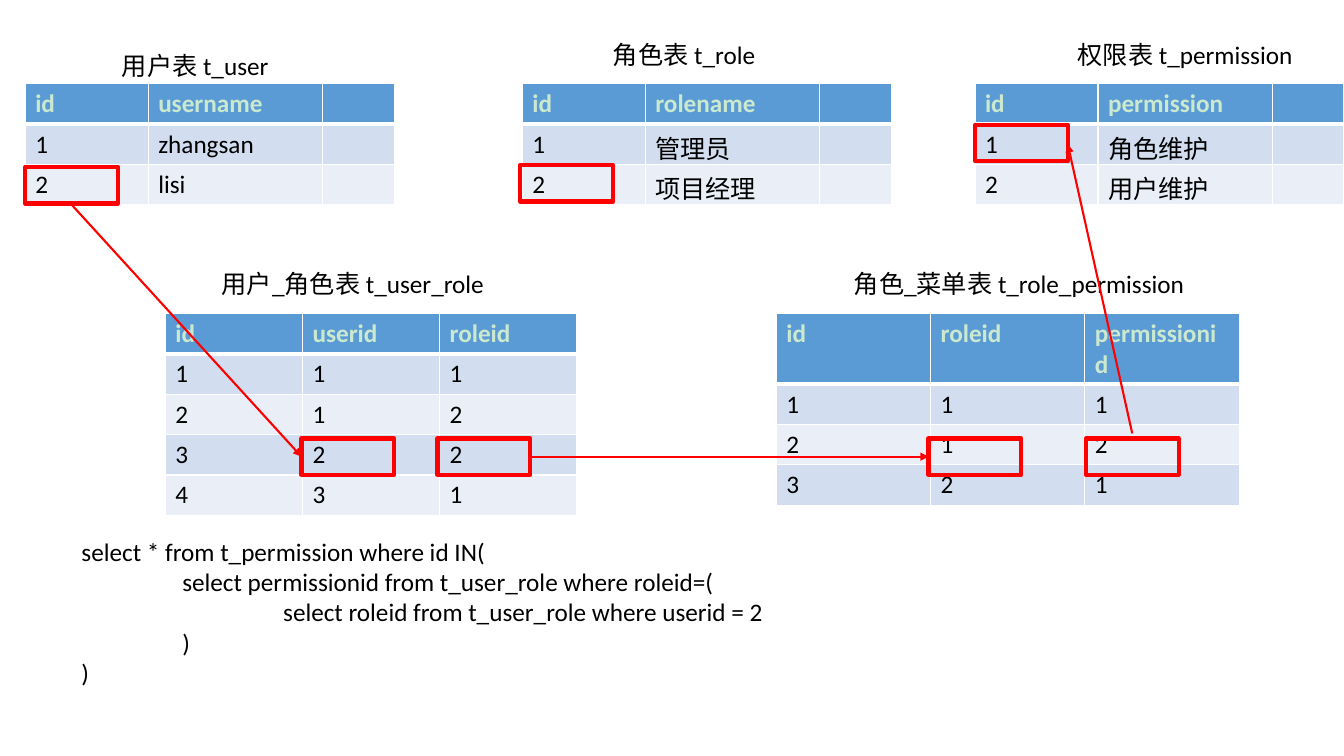
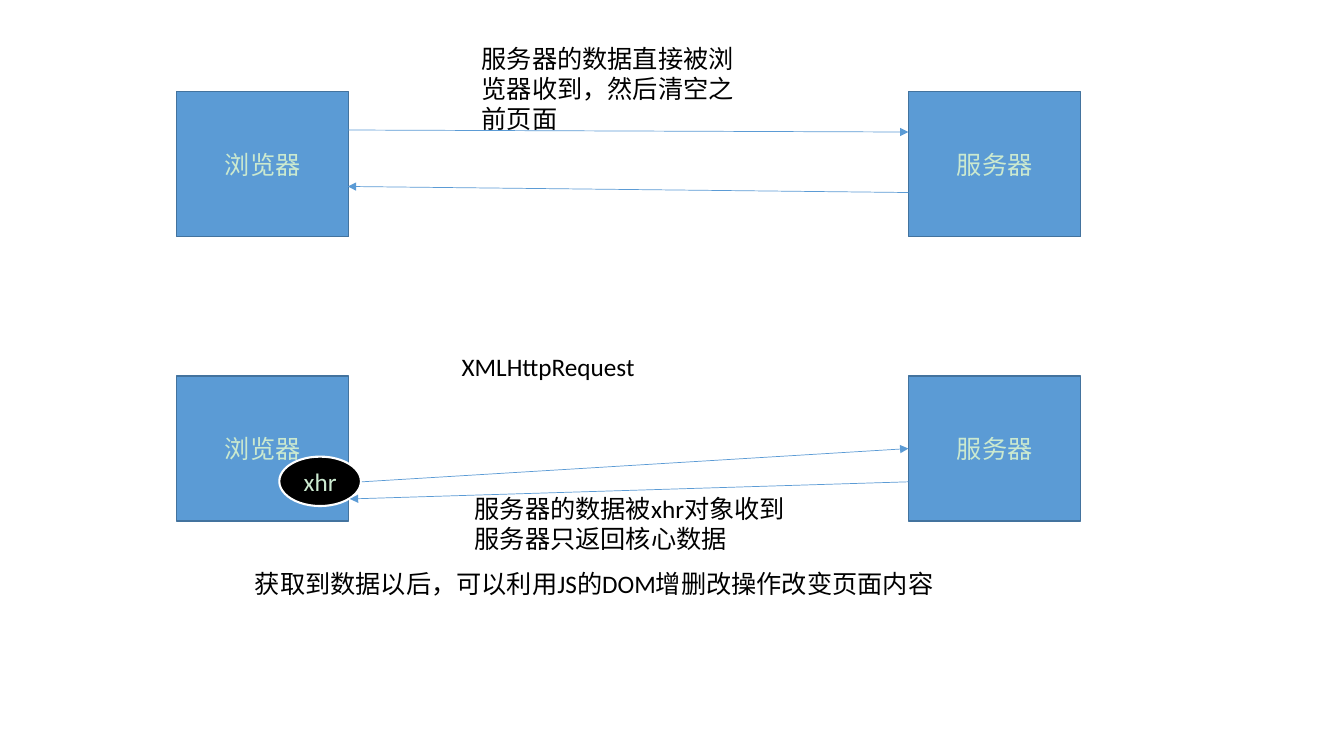
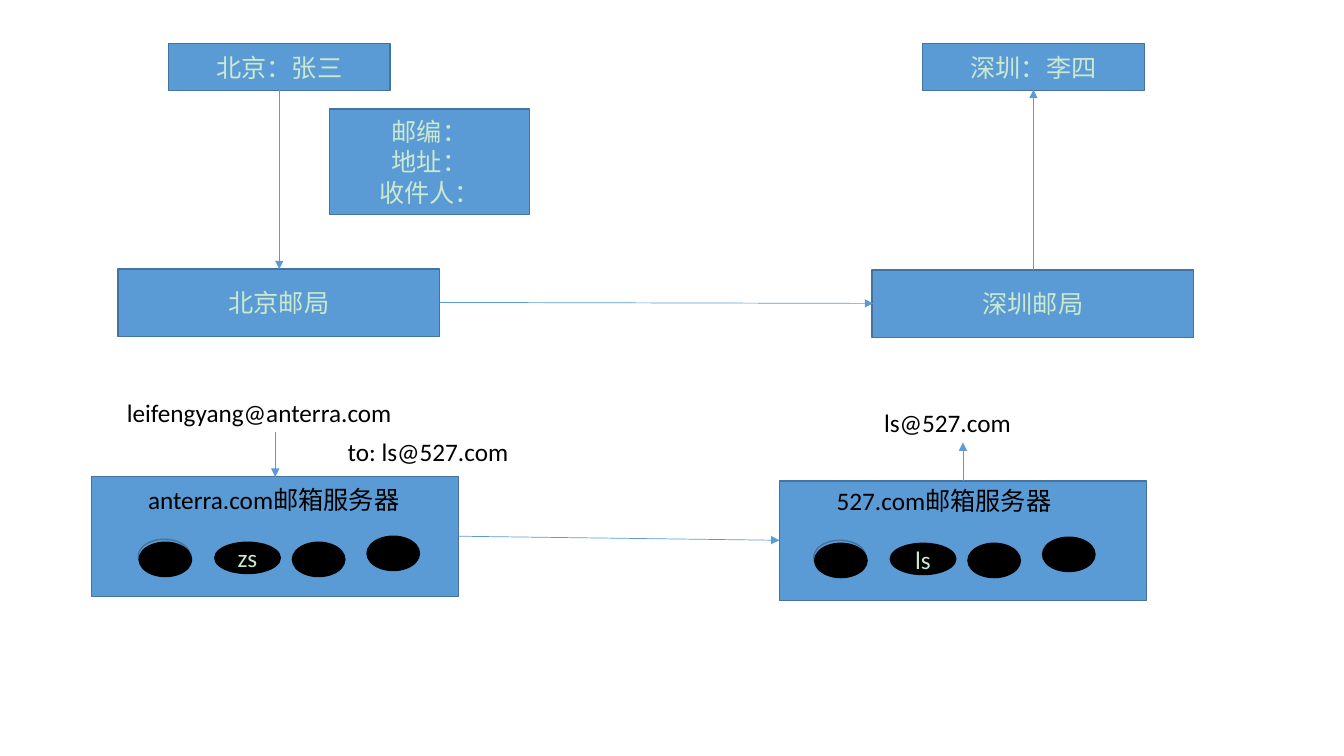
from lxml import etree
from pptx import Presentation
from pptx.dml.color import RGBColor
from pptx.enum.shapes import MSO_CONNECTOR as Connector, MSO_SHAPE as Shape
from pptx.enum.text import MSO_ANCHOR as Anchor, MSO_AUTO_SIZE as AutoSize, PP_ALIGN as Align
from pptx.oxml.ns import qn
from pptx.util import Inches, Pt

FONT = "Calibri"
BLUE, DARK_BLUE, RED = "5B9BD5", "43739E", "FF0000"
BLACK, WHITE, PALE_GREEN = "000000", "FFFFFF", "CBE9CF"
BANDS = ("D2DEEF", "EAEFF7")
ROW_HEIGHT = 0.4
ENTITY_WIDTHS = (1.22, 1.73, 0.71)


def paint(color_holder, color):
    color_holder.solid()
    color_holder.fore_color.rgb = RGBColor.from_string(color)


def style_text(frame, color, bold=False, align=None):
    for paragraph in frame.paragraphs:
        if align is not None:
            paragraph.alignment = align
        for run in paragraph.runs:
            run.font.name = FONT
            run.font.size = Pt(18)
            run.font.bold = bold
            run.font.color.rgb = RGBColor.from_string(color)


def add_label(slide, left, top, width, text, height=0.4):
    label = slide.shapes.add_textbox(Inches(left), Inches(top), Inches(width), Inches(height))
    frame = label.text_frame
    frame.word_wrap = True
    frame.auto_size = AutoSize.SHAPE_TO_FIT_TEXT
    frame.text = text
    style_text(frame, BLACK)
    return frame


def add_node(slide, left, top, width, height, text="", kind=Shape.RECTANGLE,
             fill=BLUE, line=DARK_BLUE, weight=1):
    node = slide.shapes.add_shape(kind, Inches(left), Inches(top), Inches(width), Inches(height))
    node.shadow.inherit = False
    if fill:
        paint(node.fill, fill)
    else:
        node.fill.background()
    paint(node.line.fill, line)
    node.line.width = Pt(weight)
    if text:
        node.text_frame.text = text
        node.text_frame.vertical_anchor = Anchor.MIDDLE
        style_text(node.text_frame, PALE_GREEN, align=Align.CENTER)


def add_arrow(slide, start, end, color=BLUE, weight=0.5):
    arrow = slide.shapes.add_connector(Connector.STRAIGHT, *map(Inches, (*start, *end)))
    paint(arrow.line.fill, color)
    arrow.line.width = Pt(weight)
    etree.SubElement(arrow.line._get_or_add_ln(), qn("a:tailEnd"), type="triangle")
    etree.SubElement(arrow._element.spPr, qn("a:effectLst"))


def add_borders(cell, top, bottom):
    properties = cell._tc.get_or_add_tcPr()
    for side, weight in (("L", 1), ("R", 1), ("T", top), ("B", bottom)):
        border = etree.SubElement(properties, qn(f"a:ln{side}"), w=str(Pt(weight)))
        fill = etree.SubElement(border, qn("a:solidFill"))
        etree.SubElement(fill, qn("a:srgbClr"), val=WHITE)


def add_data_table(slide, left, top, widths, rows, caption, caption_offset, caption_width):
    add_label(slide, left + caption_offset[0], top + caption_offset[1], caption_width, caption)
    table = slide.shapes.add_table(len(rows), len(widths), Inches(left), Inches(top),
                                   Inches(sum(widths)), Inches(ROW_HEIGHT * len(rows))).table
    for column, width in zip(table.columns, widths):
        column.width = Inches(width)
    for row_index, values in enumerate(rows):
        header = row_index == 0
        table.rows[row_index].height = Inches(ROW_HEIGHT)
        for column_index, value in enumerate(values):
            cell = table.cell(row_index, column_index)
            add_borders(cell, 3 if row_index == 1 else 1, 3 if header else 1)
            paint(cell.fill, BLUE if header else BANDS[(row_index - 1) % 2])
            if value:
                cell.text = value
                style_text(cell.text_frame, PALE_GREEN if header else BLACK, header)


def add_query(slide, left, top):
    lines = (
        "select * from t_permission where id IN(",
        "\tselect permissionid from t_user_role where roleid=(",
        "\t\tselect roleid from t_user_role where userid = 2",
        "\t)",
        ")",
    )
    frame = add_label(slide, left, top, 11.59, "\n".join(lines), 1.62)
    for paragraph in frame.paragraphs:
        stops = etree.SubElement(paragraph._p.get_or_add_pPr(), qn("a:tabLst"))
        for inches in (1, 2):
            etree.SubElement(stops, qn("a:tab"), pos=str(Inches(inches)), algn="l")


def build_permission_slide(slide):
    entities = (
        (0.25, "username", ("zhangsan", "lisi"), "用户表 t_user", (0.86, -0.38), 1.82),
        (5.18, "rolename", ("管理员", "项目经理"), "角色表 t_role", (0.8, -0.49), 1.82),
        (9.67, "permission", ("角色维护", "用户维护"), "权限表 t_permission", (0.92, -0.49), 2.74),
    )
    for left, field, names, caption, offset, caption_width in entities:
        rows = [("id", field, "")] + [(str(key), name, "") for key, name in enumerate(names, 1)]
        add_data_table(slide, left, 0.83, ENTITY_WIDTHS, rows, caption, offset, caption_width)

    user_roles = ("id", "userid", "roleid"), "111", "212", "322", "431"
    add_data_table(slide, 1.64, 3.11, (1.36,) * 3, user_roles,
                   "用户_角色表 t_user_role", (0.46, -0.5), 3.19)
    role_permissions = ("id", "roleid", "permissionid"), "111", "212", "321"
    add_data_table(slide, 7.7, 3.11, (1.53,) * 3, role_permissions,
                   "角色_菜单表 t_role_permission", (0.67, -0.5), 3.77)

    highlights = ((0.25, 1.66), (2.99, 4.35), (4.34, 4.35), (5.16, 1.64),
                  (9.21, 4.35), (10.77, 4.35), (9.67, 1.24))
    for left, top in highlights:
        add_node(slide, left, top, 0.92, 0.36, fill=None, line=RED, weight=3)
    lookups = (((0.71, 2.03), (2.99, 4.53)), ((5.26, 4.53), (9.21, 4.53)),
               ((11.23, 4.3), (10.59, 1.43)))
    for start, end in lookups:
        add_arrow(slide, start, end, RED, 1.5)
    add_query(slide, 0.71, 5.27)


def add_exchange(slide, left, top, request, reply, with_xhr=False):
    for offset, text in ((0, "浏览器"), (7.26, "服务器")):
        add_node(slide, left + offset, top, 1.71, 1.44, text)
    if with_xhr:
        add_node(slide, left + 1.02, top + 0.8, 0.81, 0.49, "xhr", Shape.OVAL, BLACK, WHITE, 1.5)
    for message in (request, reply):
        add_arrow(slide, *((left + x, top + y) for x, y in message))


def build_request_slide(slide):
    add_exchange(slide, 1.75, 0.91, ((1.7, 0.38), (7.26, 0.4)), ((7.26, 1), (1.7, 0.94)))
    add_exchange(slide, 1.75, 3.73, ((1.84, 1.05), (7.26, 0.72)), ((7.26, 1.05), (1.72, 1.22)),
                 with_xhr=True)
    add_label(slide, 4.68, 0.38, 2.8, "服务器的数据直接被浏览器收到，然后清空之前页面", 1.01)
    add_label(slide, 4.61, 4.84, 3.71, "服务器的数据被xhr对象收到\n服务器只返回核心数据", 0.71)
    add_label(slide, 4.48, 3.44, 2.39, "XMLHttpRequest")
    add_label(slide, 2.43, 5.59, 7.15, "获取到数据以后，可以利用JS的DOM增删改操作改变页面内容")


def add_post_side(slide, left, office_top, person, office):
    add_node(slide, left + 0.5, 0.43, 2.2, 0.47, person)
    add_node(slide, left, office_top, 3.19, 0.67, office)


def add_mail_server(slide, left, top, domain, user, label_offset, label_width, mailbox_offset):
    add_node(slide, left, top, 3.64, 1.19)
    add_label(slide, left + label_offset[0], top + label_offset[1], label_width, f"{domain}邮箱服务器")
    mailbox_left, mailbox_top = left + mailbox_offset[0], top + mailbox_offset[1]
    add_node(slide, mailbox_left, mailbox_top, 0.52, 0.34, kind=Shape.OVAL)
    mailboxes = ((0.01, 0.03, 0.52, 0.34, ""), (0.76, 0.03, 0.65, 0.31, user),
                 (1.53, 0.03, 0.52, 0.34, ""), (2.27, -0.03, 0.52, 0.34, ""))
    for x, y, width, height, text in mailboxes:
        add_node(slide, mailbox_left + x, mailbox_top + y, width, height, text,
                 Shape.OVAL, BLACK, BLACK)


def build_mail_slide(slide):
    sender_domain, receiver_domain = "anterra.com", "527.com"
    receiver = f"ls@{receiver_domain}"
    add_post_side(slide, 1.17, 2.67, "北京：张三", "北京邮局")
    add_post_side(slide, 8.65, 2.68, "深圳：李四", "深圳邮局")
    add_node(slide, 3.27, 1.08, 1.98, 1.05, "邮编：\n地址：\n收件人：")
    add_mail_server(slide, 0.91, 4.73, sender_domain, "zs", (0.46, 0.03), 2.94, (0.46, 0.62))
    add_mail_server(slide, 7.73, 4.77, receiver_domain, "ls", (0.47, 0), 2.53, (0.34, 0.59))
    add_label(slide, 1.16, 3.89, 3.14, f"leifengyang@{sender_domain}")
    add_label(slide, 8.67, 3.99, 1.75, receiver)
    add_label(slide, 3.35, 4.28, 1.91, f"to: {receiver}")
    deliveries = (
        ((2.77, 0.89), (2.77, 2.67)), ((4.36, 3), (8.66, 3.01)), ((10.25, 2.68), (10.25, 0.89)),
        ((2.73, 4.29), (2.73, 4.73)), ((4.55, 5.32), (7.73, 5.36)), ((9.55, 4.77), (9.55, 4.39)),
    )
    for start, end in deliveries:
        add_arrow(slide, start, end)


def main():
    prs = Presentation()
    prs.slide_width, prs.slide_height = Inches(13.33), Inches(7.5)
    paint(prs.slide_master.background.fill, WHITE)
    for build in (build_permission_slide, build_request_slide, build_mail_slide):
        build(prs.slides.add_slide(prs.slide_layouts[6]))
    prs.save("out.pptx")


if __name__ == "__main__":
    main()
